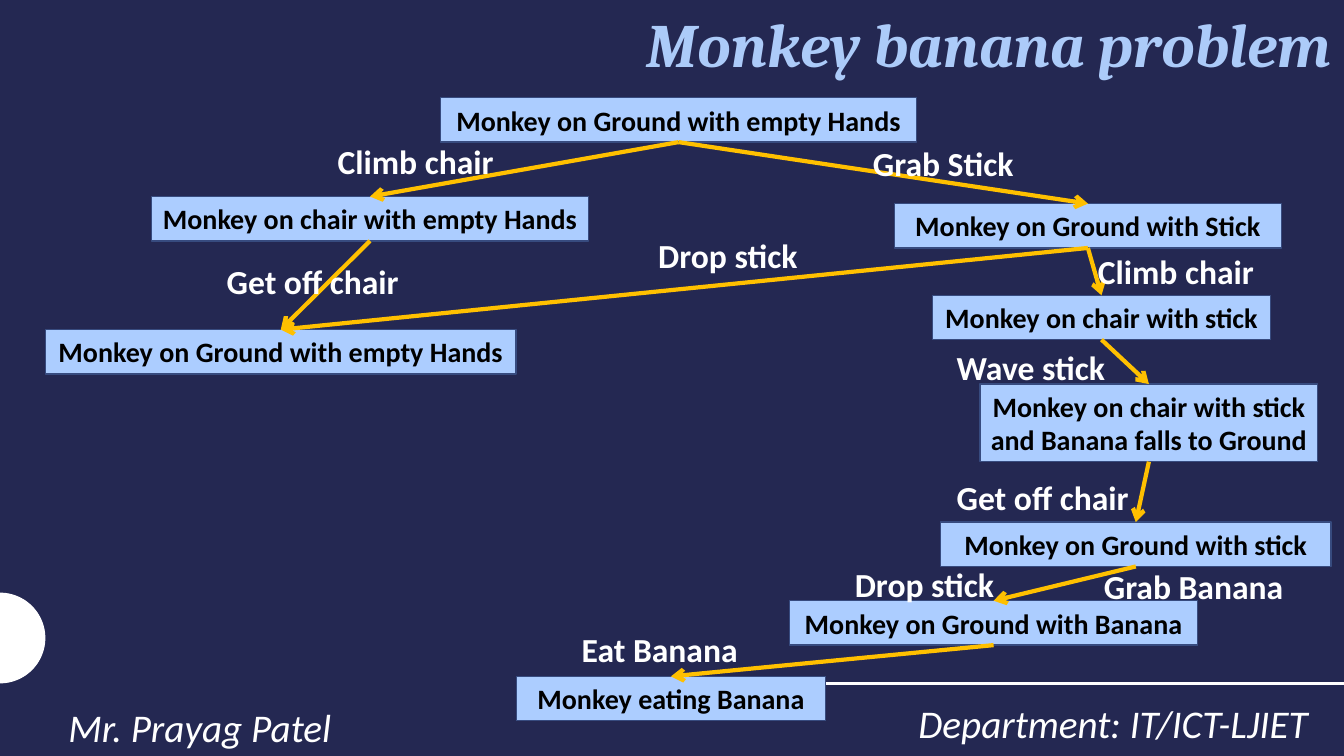
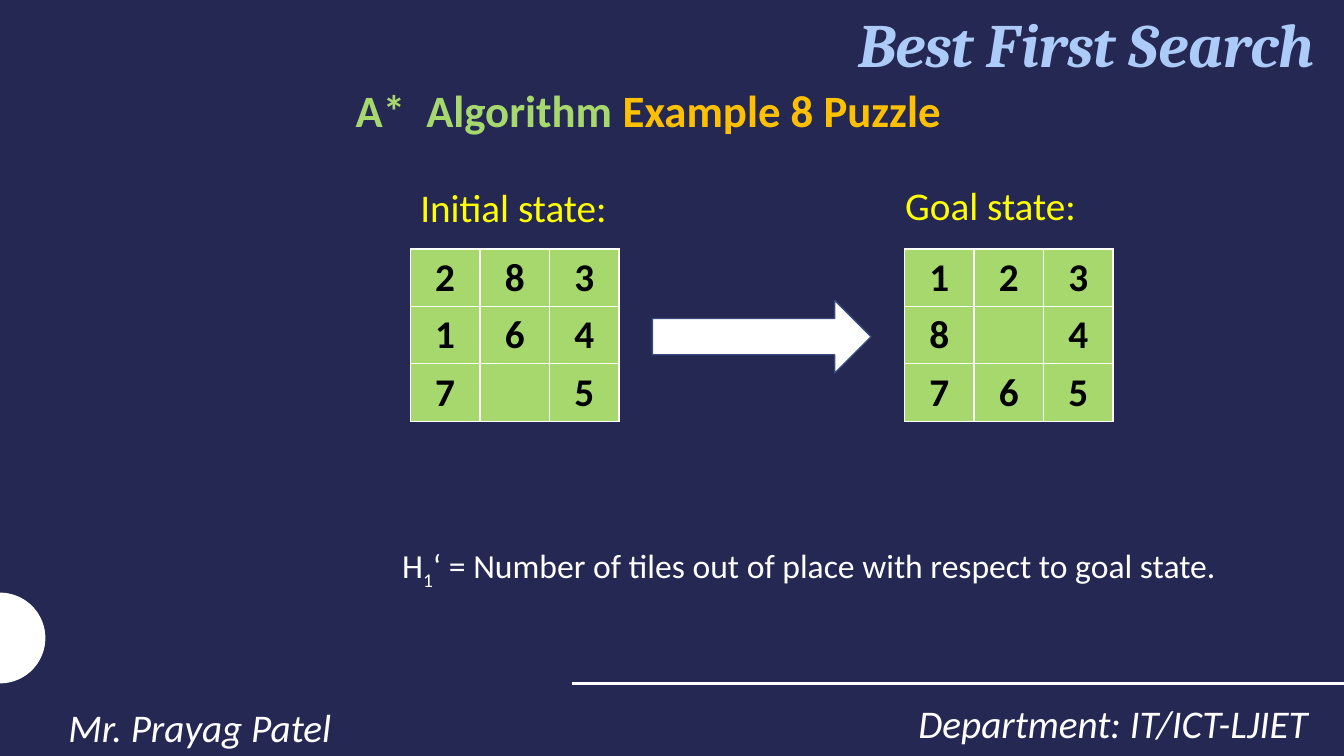
"""Build two lecture slides on state-space search."""
from dataclasses import dataclass
from math import cos, pi, sin

from lxml.etree import SubElement
from pptx import Presentation
from pptx.dml.color import RGBColor
from pptx.enum.shapes import MSO_CONNECTOR, MSO_SHAPE
from pptx.enum.text import MSO_ANCHOR, PP_ALIGN
from pptx.oxml.ns import qn
from pptx.util import Inches, Pt


@dataclass(frozen=True)
class Theme:
    """Colours, fonts and type sizes shared by the slides."""

    navy: str = "242852"
    white: str = "FFFFFF"
    black: str = "000000"
    title_blue: str = "ACCBF9"
    state_blue: str = "ACCDFF"
    outline: str = "374B7F"
    gold: str = "FFC000"
    green: str = "A6D86E"
    yellow: str = "FFFF00"
    body_font: str = "Calibri"
    title_font: str = "Cambria"
    title_size: int = 44
    heading_size: int = 32
    large_size: int = 28
    label_size: int = 24
    state_size: int = 20


THEME = Theme()
WIDTH, HEIGHT = 13.33, 7.5
RULE_TOP = 6.78
BOTTOM_SITE, TOP_SITE = 2, 0

STATES = {
    "start": ("Monkey on Ground with empty Hands", 4.37, 0.97, 4.72, 0.44),
    "chair": ("Monkey on chair with empty Hands", 1.5, 1.95, 4.34, 0.44),
    "ground": ("Monkey on Ground with empty Hands", 0.45, 3.27, 4.67, 0.44),
    "stick": ("Monkey on Ground with Stick", 8.87, 2.02, 3.84, 0.44),
    "chair stick": ("Monkey on chair with stick", 9.25, 2.93, 3.35, 0.44),
    "falls": ("Monkey on chair with stick and Banana falls to Ground",
              9.72, 3.81, 3.35, 0.77),
    "ground stick": ("Monkey on Ground with stick", 9.33, 5.18, 3.87, 0.44),
    "banana": ("Monkey on Ground with Banana", 7.83, 5.96, 4.05, 0.44),
    "eating": ("Monkey eating Banana", 5.12, 6.71, 3.07, 0.44),
}
MOVES = [
    ("start", "chair"), ("chair", "ground"), ("start", "stick"),
    ("stick", "chair stick"), ("chair stick", "falls"),
    ("falls", "ground stick"), ("ground stick", "banana"),
    ("banana", "eating"), ("stick", "ground"),
]
ACTIONS = [
    ("Climb chair", 3.25, 1.35), ("Get off chair", 2.15, 2.54),
    ("Grab Stick", 8.56, 1.37), ("Climb chair", 10.79, 2.44),
    ("Wave stick", 9.39, 3.39), ("Get off chair", 9.39, 4.68),
    ("Drop stick", 8.38, 5.55), ("Grab Banana", 10.85, 5.57),
    ("Eat Banana", 5.67, 6.19), ("Drop stick", 6.43, 2.28),
]
PUZZLES = [
    ("Initial state:", 4.07, 1.77, 4.07, ["283", "164", "7 5"]),
    ("Goal state:", 8.88, 1.75, 8.97, ["123", "8 4", "765"]),
]


def rgb(colour):
    """Return a colour object for a hex string."""
    return RGBColor.from_string(colour)


def write(frame, text, size, colour=THEME.white, font=THEME.body_font,
          bold=False, italic=False, align=PP_ALIGN.LEFT, spacing=None, hang=0):
    """Write a string, or (text, colour, baseline) spans, as one paragraph."""
    para = frame.paragraphs[0]
    para.alignment = align
    if hang:
        properties = para._p.get_or_add_pPr()
        properties.set("marL", str(Inches(hang)))
        properties.set("indent", str(-Inches(hang)))
    if spacing:
        para.line_spacing = spacing
    spans = [(text, colour, 0)] if isinstance(text, str) else text
    for words, shade, baseline in spans:
        span = para.add_run()
        span.text = words
        span.font.name = font
        span.font.size = Pt(size)
        span.font.bold = bold
        span.font.italic = italic
        span.font.color.rgb = rgb(shade)
        if baseline:
            span._r.get_or_add_rPr().set("baseline", str(baseline * 1000))


def add_text(page, text, left, top, width, height, **style):
    """Add a wrapping text box."""
    box = page.shapes.add_textbox(
        Inches(left), Inches(top), Inches(width), Inches(height))
    box.text_frame.word_wrap = True
    write(box.text_frame, text, **style)


def add_block(page, preset, left, top, width, height, fill):
    """Add a filled and outlined preset shape."""
    block = page.shapes.add_shape(
        preset, Inches(left), Inches(top), Inches(width), Inches(height))
    block.shadow.inherit = False
    block.fill.solid()
    block.fill.fore_color.rgb = rgb(fill)
    block.line.color.rgb = rgb(THEME.outline)
    block.line.width = Pt(1)
    return block


def add_line(page, start, end, colour, weight):
    """Add a straight connector without shadow."""
    line = page.shapes.add_connector(
        MSO_CONNECTOR.STRAIGHT, *(Inches(value) for value in start + end))
    line.line.color.rgb = rgb(colour)
    line.line.width = Pt(weight)
    SubElement(line.element.spPr, qn("a:effectLst"))
    return line


def add_arrow(page, source, target):
    """Join the bottom of one state to the top of another."""
    arrow = add_line(page, (0, 0), (1, 1), THEME.gold, 3)
    arrow.begin_connect(source, BOTTOM_SITE)
    arrow.end_connect(target, TOP_SITE)
    outline = arrow.element.spPr.find(qn("a:ln"))
    SubElement(outline, qn("a:tailEnd"), type="arrow")


def add_half_disc(page, centre, radius, steps=48):
    """Add a half disc on the left edge."""
    points = [(Inches(radius * sin(pi * step / steps)),
               Inches(centre - radius * cos(pi * step / steps)))
              for step in range(steps + 1)]
    builder = page.shapes.build_freeform(*points[0])
    builder.add_line_segments(points[1:], close=True)
    disc = builder.convert_to_shape()
    disc.shadow.inherit = False
    disc.fill.solid()
    disc.fill.fore_color.rgb = rgb(THEME.white)
    disc.line.fill.background()


def add_page(deck, title, title_right):
    """Add a slide with its background, ornaments, footers and title."""
    page = deck.slides.add_slide(deck.slide_layouts[6])
    page.background.fill.solid()
    page.background.fill.fore_color.rgb = rgb(THEME.navy)
    add_half_disc(page, 6.33, 0.45)
    add_line(page, (5.67, RULE_TOP), (WIDTH, RULE_TOP), THEME.white, 2)
    footer = dict(size=THEME.large_size, italic=True, spacing=1.14)
    add_text(page, "Department: IT/ICT-LJIET", 7.95, 6.82, 5.12, 0.63,
             align=PP_ALIGN.RIGHT, **footer)
    add_text(page, "Mr. Prayag Patel", 0.58, 6.86, 7, 0.63, **footer)
    add_text(page, title, title_right - 11, 0.01, 11, 0.89,
             size=THEME.title_size, colour=THEME.title_blue,
             font=THEME.title_font, bold=True, italic=True,
             align=PP_ALIGN.RIGHT)
    return page


def add_state(page, text, left, top, width, height):
    """Add a box that names one problem state."""
    state = add_block(page, MSO_SHAPE.RECTANGLE, left, top, width, height,
                      THEME.state_blue)
    state.text_frame.word_wrap = True
    state.text_frame.vertical_anchor = MSO_ANCHOR.MIDDLE
    write(state.text_frame, text, THEME.state_size, THEME.black,
          bold=True, align=PP_ALIGN.CENTER)
    return state


def border_cell(cell):
    """Give a cell thin white borders."""
    properties = cell._tc.get_or_add_tcPr()
    for index, side in enumerate(("lnL", "lnR", "lnT", "lnB")):
        border = properties.makeelement(qn(f"a:{side}"), {"w": str(Pt(1))})
        fill = SubElement(border, qn("a:solidFill"))
        SubElement(fill, qn("a:srgbClr"), val=THEME.white)
        properties.insert(index, border)


def add_puzzle(page, left, top, rows):
    """Add a grid of puzzle tiles with one gap."""
    columns = len(rows[0])
    grid = page.shapes.add_table(
        len(rows), columns, Inches(left), Inches(top),
        Inches(0.69 * columns), Inches(0.57 * len(rows))).table
    for row, tiles in enumerate(rows):
        for column, tile in enumerate(tiles):
            cell = grid.cell(row, column)
            cell.fill.solid()
            cell.fill.fore_color.rgb = rgb(THEME.green)
            border_cell(cell)
            if tile.strip():
                write(cell.text_frame, tile, THEME.large_size, THEME.black,
                      bold=True, align=PP_ALIGN.CENTER)


def build_monkey_page(deck):
    """Build the state graph of the monkey and banana problem."""
    page = add_page(deck, "Monkey banana problem", 13.31)
    states = {name: add_state(page, *place) for name, place in STATES.items()}
    for source, target in MOVES:
        add_arrow(page, states[source], states[target])
    for action, left, top in ACTIONS:
        add_text(page, action, left, top, 2.5, 0.5,
                 size=THEME.label_size, bold=True)


def build_puzzle_page(deck):
    """Build the start and goal of the 8 puzzle."""
    page = add_page(deck, "Best First Search", 13.14)
    heading = [("A*\tAlgorithm ", THEME.green, 0),
               ("Example 8 Puzzle", THEME.gold, 0)]
    add_text(page, heading, 3.43, 0.77, 6.5, 0.64,
             size=THEME.heading_size, bold=True, hang=0.7)
    heuristic = [
        ("H", THEME.white, 0), ("1", THEME.white, -25),
        ("‘ = Number of tiles out of place with respect to goal state.",
         THEME.white, 0)]
    add_text(page, heuristic, 3.89, 5.36, 8.52, 0.5,
             size=THEME.label_size, align=PP_ALIGN.JUSTIFY)
    for caption, left, top, grid_left, rows in PUZZLES:
        add_text(page, caption, left, top, 2.46, 0.57,
                 size=THEME.large_size, colour=THEME.yellow)
        add_puzzle(page, grid_left, 2.47, rows)
    add_block(page, MSO_SHAPE.RIGHT_ARROW, 6.47, 2.98, 2.17, 0.72, THEME.white)


def main():
    """Build and save the deck."""
    deck = Presentation()
    deck.slide_width = Inches(WIDTH)
    deck.slide_height = Inches(HEIGHT)
    build_monkey_page(deck)
    build_puzzle_page(deck)
    deck.save("out.pptx")


if __name__ == "__main__":
    main()
